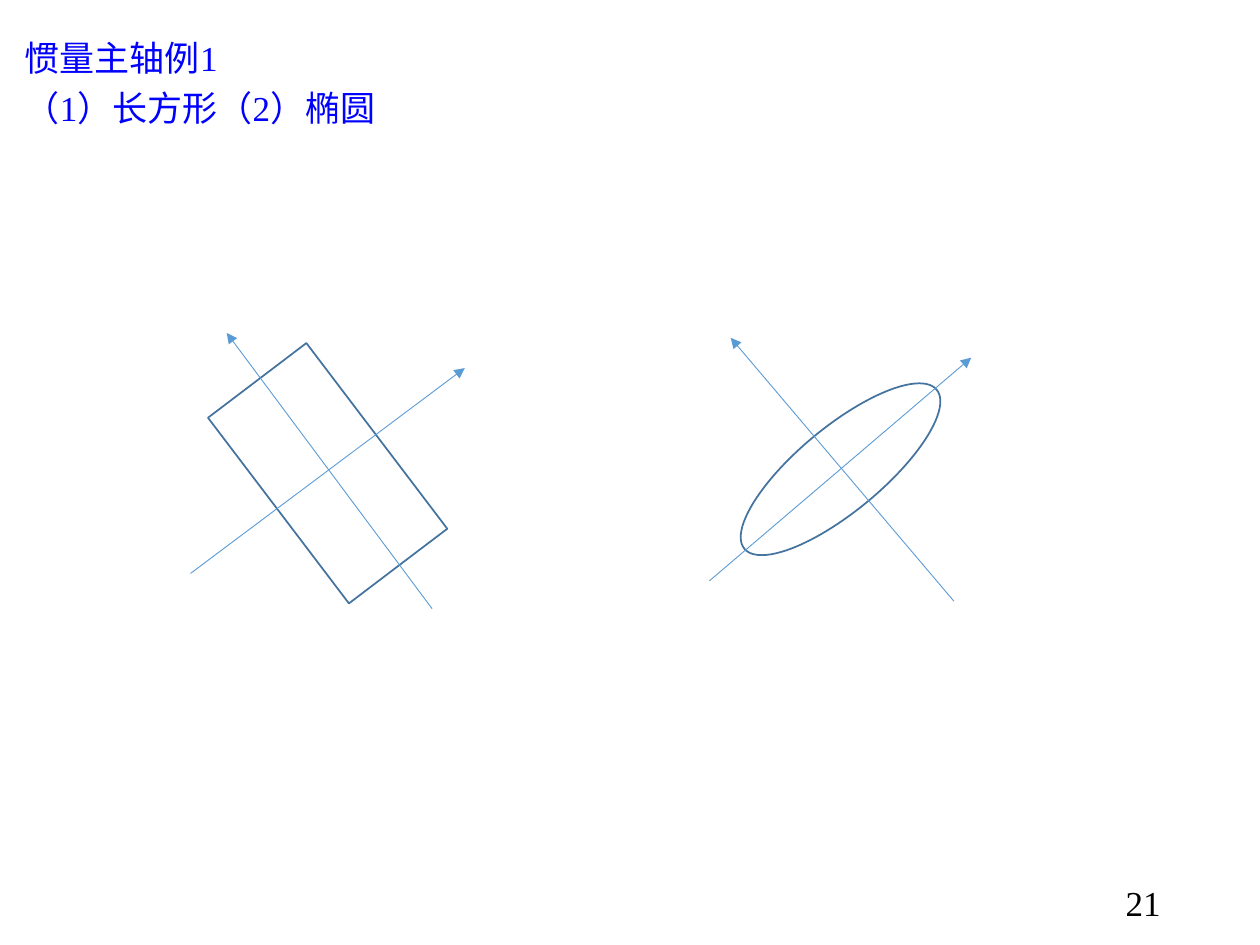
from lxml import etree
from pptx import Presentation
from pptx.dml.color import RGBColor
from pptx.enum.shapes import MSO_CONNECTOR, MSO_SHAPE
from pptx.enum.text import MSO_ANCHOR, PP_ALIGN
from pptx.oxml.ns import qn
from pptx.util import Cm, Pt

RECT, OVAL = MSO_SHAPE.RECTANGLE, MSO_SHAPE.OVAL
STRAIGHT = MSO_CONNECTOR.STRAIGHT
TOP, MIDDLE = MSO_ANCHOR.TOP, MSO_ANCHOR.MIDDLE
LEFT, RIGHT = PP_ALIGN.LEFT, PP_ALIGN.RIGHT

COLORS = {
    "title": "0000FF",
    "number": "000000",
    "paper": "FFFFFF",
    "outline": "43739E",
    "axis": "5B9BD5",
}


class SlideBuilder:
    font = "Times New Roman"
    size = Pt(20)

    def __init__(self, slide):
        self.s = slide

    def color(self, name):
        return RGBColor.from_string(COLORS[name])

    def text(self, box, lines, color, align=LEFT, anchor=TOP, spacing=1.0):
        sp = self.s.shapes.add_textbox(*map(Cm, box))
        tf = sp.text_frame
        tf.word_wrap = True
        tf.vertical_anchor = anchor
        tf.text = "\n".join(lines)
        for p in tf.paragraphs:
            p.alignment = align
            p.line_spacing = spacing
            for r in p.runs:
                r.font.name = self.font
                r.font.size = self.size
                r.font.color.rgb = self.color(color)
        return sp

    def outline(self, kind, box, rotation):
        sp = self.s.shapes.add_shape(kind, *map(Cm, box))
        sp.rotation = rotation
        sp.shadow.inherit = False
        sp.fill.solid()
        sp.fill.fore_color.rgb = self.color("paper")
        sp.line.color.rgb = self.color("outline")
        sp.line.width = Pt(1)

    def axis(self, parent, start, end):
        cn = parent.shapes.add_connector(STRAIGHT, *map(Cm, start + end))
        cn.line.color.rgb = self.color("axis")
        cn.line.width = Pt(0.5)
        ln = cn.line._get_or_add_ln()
        etree.SubElement(ln, qn("a:tailEnd"), type="triangle")
        etree.SubElement(cn._element.spPr, qn("a:effectLst"))


def main():
    prs = Presentation()
    prs.slide_width, prs.slide_height = Cm(25.4), Cm(19.05)
    s = prs.slides.add_slide(prs.slide_layouts[6])
    b = SlideBuilder(s)

    title = b.text((0.25, 0.48, 16.03, 2.21),
                   ["惯量主轴例1", "（1）长方形（2）椭圆"],
                   "title", anchor=MIDDLE, spacing=1.2)
    title.fill.solid()
    title.fill.fore_color.rgb = b.color("paper")

    b.outline(RECT, (5.36, 7.19, 2.49, 4.7), 322.8)
    b.outline(OVAL, (14.43, 8.61, 5.03, 1.7), 320.4)

    b.axis(s, (8.71, 12.27), (4.57, 6.71))
    b.axis(s, (3.84, 11.56), (9.37, 7.42))

    ellipse_axes = s.shapes.add_group_shape()
    b.axis(ellipse_axes, (19.23, 12.12), (14.73, 6.81))
    b.axis(ellipse_axes, (14.3, 11.71), (19.58, 7.21))

    b.text((17.93, 17.65, 5.72, 1.02), ["21"], "number", align=RIGHT)
    prs.save("out.pptx")


if __name__ == "__main__":
    main()
